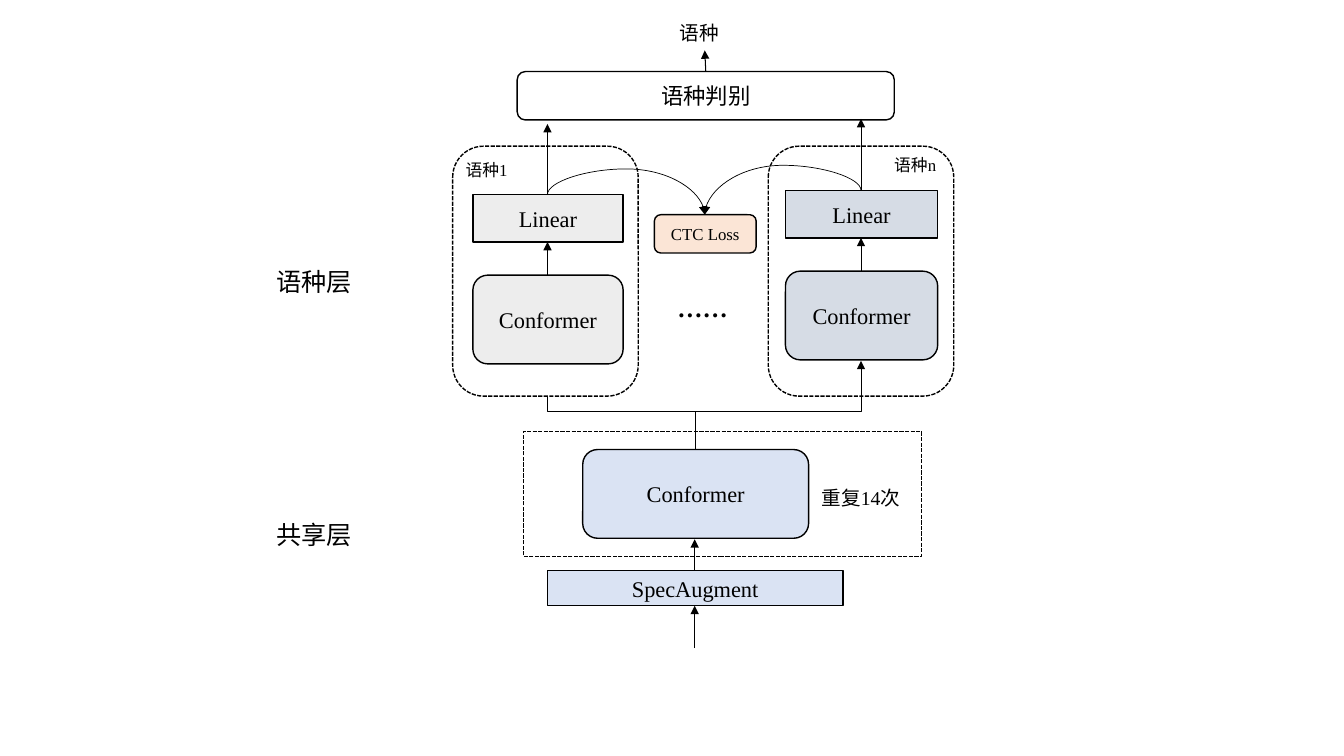
from dataclasses import dataclass

from pptx import Presentation
from pptx.dml.color import RGBColor
from pptx.enum.dml import MSO_LINE
from pptx.enum.shapes import MSO_CONNECTOR, MSO_SHAPE
from pptx.enum.text import MSO_ANCHOR, MSO_AUTO_SIZE, PP_ALIGN
from pptx.oxml.ns import qn
from pptx.util import Inches, Pt
from lxml.etree import SubElement


@dataclass(frozen=True)
class Theme:
    font: str = "Times New Roman"
    ink: RGBColor = RGBColor(0, 0, 0)
    white: RGBColor = RGBColor(255, 255, 255)
    shared: RGBColor = RGBColor.from_string("DAE3F3")
    first: RGBColor = RGBColor.from_string("EDEDED")
    last: RGBColor = RGBColor.from_string("D6DCE5")
    loss: RGBColor = RGBColor.from_string("FBE5D6")
    layer: Pt = Pt(18)
    block: Pt = Pt(16)
    note: Pt = Pt(14)
    small: Pt = Pt(12)


theme = Theme()
deck = Presentation()
deck.slide_width, deck.slide_height = Inches(13.33), Inches(7.5)
page = deck.slides.add_slide(deck.slide_layouts[6])
RECT, ROUND = MSO_SHAPE.RECTANGLE, MSO_SHAPE.ROUNDED_RECTANGLE
STRAIGHT, ELBOW, CURVE = MSO_CONNECTOR.STRAIGHT, MSO_CONNECTOR.ELBOW, MSO_CONNECTOR.CURVE


def add_block(kind, place, fill, text="", size=theme.block):
    """Draw a labelled block, or a dashed frame when there is no text."""
    box = page.shapes.add_shape(kind, *map(Inches, place))
    box.shadow.inherit = False
    box.fill.solid()
    box.fill.fore_color.rgb = fill
    box.line.color.rgb = theme.ink
    box.line.width = Pt(1)
    if not text:
        box.line.dash_style = MSO_LINE.SQUARE_DOT
        return
    box.text_frame.vertical_anchor = MSO_ANCHOR.MIDDLE
    para = box.text_frame.paragraphs[0]
    para.text = text
    para.alignment = PP_ALIGN.CENTER
    para.font.name, para.font.size, para.font.color.rgb = theme.font, size, theme.ink


def add_arrow(start, end, kind=STRAIGHT, bend=0, width=0.75):
    """Draw an arrow; bent and curved ones are turned so they leave vertically.

    bend is the place of the middle leg, as a share of the vertical distance.
    """
    (x1, y1), (x2, y2) = start, end
    if kind != STRAIGHT:
        middle_x, middle_y = (x1 + x2) / 2, (y1 + y2) / 2
        half_width, half_height = abs(y2 - y1) / 2, abs(x2 - x1) / 2
        x1, x2 = middle_x - half_width, middle_x + half_width
        y1, y2 = middle_y - half_height, middle_y + half_height
    arrow = page.shapes.add_connector(kind, *map(Inches, (x1, y1, x2, y2)))
    properties = arrow._element.spPr
    if kind != STRAIGHT:
        arrow.rotation = 270
        frame = properties.find(qn("a:xfrm"))
        frame.set("flipH", str(int(start[1] < end[1])))
        frame.set("flipV", str(int(start[0] > end[0])))
        guides = properties.find(qn("a:prstGeom")).get_or_add_avLst()
        SubElement(guides, qn("a:gd"), name="adj1", fmla=f"val {round(bend * 100000)}")
    arrow.line.color.rgb = theme.ink
    arrow.line.width = Pt(width)
    SubElement(arrow.line._get_or_add_ln(), qn("a:tailEnd"), type="triangle")
    SubElement(properties, qn("a:effectLst"))


# Shared layer
fork = (6.9, 4.46)
add_block(RECT, (5.19, 4.28, 3.95, 1.24), theme.white)
add_block(ROUND, (5.78, 4.46, 2.24, 0.88), theme.shared, "Conformer")
add_block(RECT, (5.43, 5.66, 2.93, 0.35), theme.shared, "SpecAugment")
add_arrow((6.89, 6.43), (6.89, 6.01))
add_arrow((6.89, 5.66), (6.89, 5.35))
add_arrow(fork, (5.43, 3.61), ELBOW, 0.44)  # runs behind the first language frame

# Language layer and language decision
add_block(ROUND, (5.13, 0.71, 3.74, 0.48), theme.white, "语种判别")
add_arrow((7, 0.71), (6.99, 0.5))
add_block(ROUND, (6.49, 2.13, 1.01, 0.38), theme.loss, "CTC Loss", theme.small)

languages = [  # frame left, block left, block width, axis, Linear top, arrow tip, fill, curve bend
    (4.49, 4.69, 1.49, 5.43, 1.93, 1.23, theme.first, -1.27),
    (7.62, 7.79, 1.51, 8.54, 1.89, 1.18, theme.last, -1.04),
]
for frame_left, left, width, axis, top, tip, fill, bend in languages:
    add_block(ROUND, (frame_left, 1.45, 1.84, 2.48), theme.white)
    add_block(ROUND, (left, top + 0.8, width, 0.88), fill, "Conformer")
    add_block(RECT, (left, top, width, 0.47), fill, "Linear")
    add_arrow((axis, top + 0.8), (axis, top + 0.47))
    add_arrow((axis, top), (axis, tip))
    add_arrow((axis, top), (6.99, 2.13), CURVE, bend, 0.5)
add_arrow(fork, (8.54, 3.58), ELBOW, 0.43)

# Free labels
labels = [
    ("共享层", (2.64, 5.1, 1.25, 0.4), theme.layer, False),
    ("语种层", (2.64, 2.59, 1.25, 0.4), theme.layer, False),
    ("重复14次", (8.05, 4.77, 1.25, 0.34), theme.note, False),
    ("……", (6.62, 2.85, 0.75, 0.4), theme.layer, True),
    ("语种1", (4.52, 1.54, 0.7, 0.3), theme.small, False),
    ("语种n", (8.77, 1.49, 0.71, 0.3), theme.small, False),
    ("语种", (6.64, 0.16, 0.7, 0.34), theme.note, False),
]
for text, place, size, bold in labels:
    box = page.shapes.add_textbox(*map(Inches, place))
    box.text_frame.word_wrap = True
    box.text_frame.auto_size = MSO_AUTO_SIZE.SHAPE_TO_FIT_TEXT
    para = box.text_frame.paragraphs[0]
    para.text = text
    para.font.name, para.font.size, para.font.bold = theme.font, size, bold
    para.font.color.rgb = theme.ink

deck.save("out.pptx")
